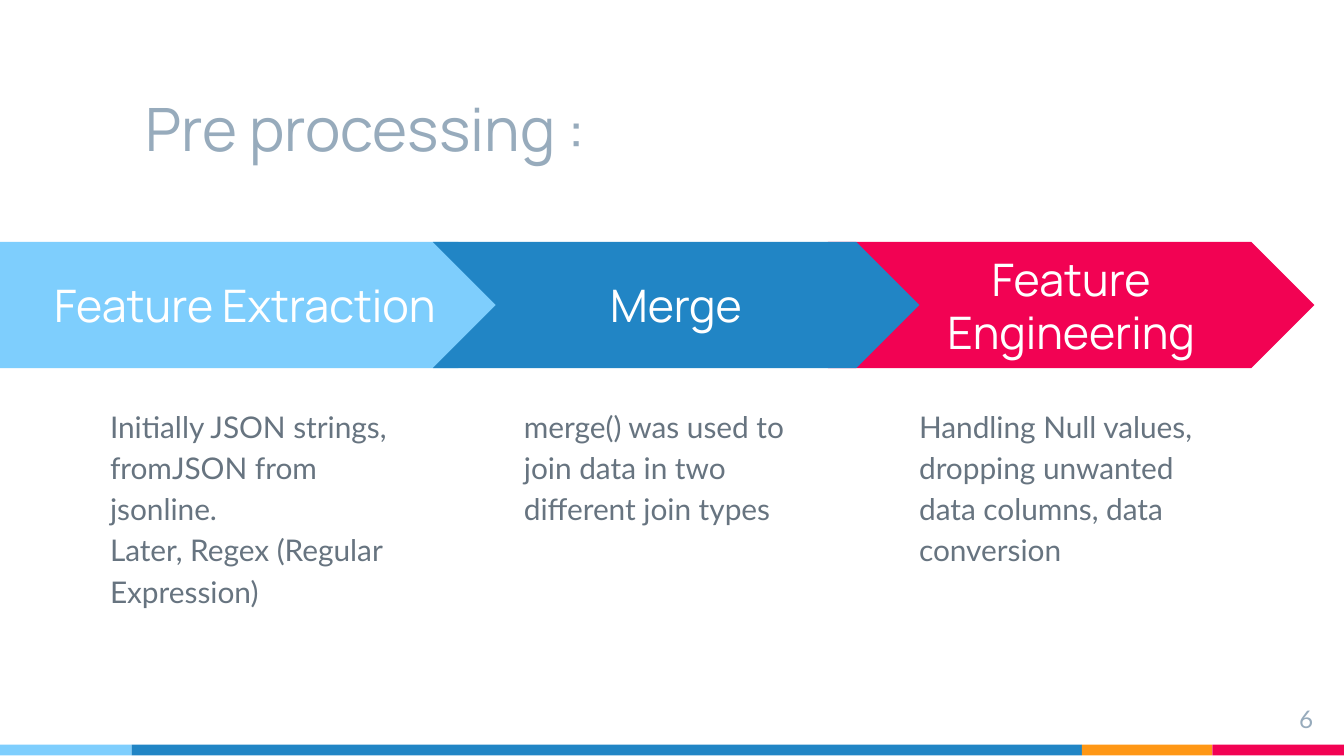
from pptx import Presentation
from pptx.dml.color import RGBColor
from pptx.enum import shapes as sh, text as tx
from pptx.util import Inches, Pt

SKY, BLUE, ORANGE, PINK = "7ECEFD", "2185C5", "FF9715", "F20253"
WHITE, TITLE_GREY, BODY_GREY = "FFFFFF", "97ABBC", "677480"

HEADING = {"name": "Manrope", "size": Pt(24), "color": WHITE}
TITLE = {**HEADING, "size": Pt(32), "color": TITLE_GREY}
DETAIL = {"name": "Lato", "size": Pt(16), "color": BODY_GREY}
PAGE_NUMBER = {**DETAIL, "size": Pt(13), "color": TITLE_GREY}

LEFT, CENTER, RIGHT = tx.PP_ALIGN.LEFT, tx.PP_ALIGN.CENTER, tx.PP_ALIGN.RIGHT
TOP, MIDDLE, BOTTOM = tx.MSO_ANCHOR.TOP, tx.MSO_ANCHOR.MIDDLE, tx.MSO_ANCHOR.BOTTOM

BAND_TOP, BAND_HEIGHT = 1.8, 0.94
DETAIL_TOP, DETAIL_WIDTH, DETAIL_HEIGHT = 2.9, 2.45, 2.15


def rgb(color):
    return RGBColor.from_string(color)


def write(frame, lines, font_format, align=LEFT, anchor=TOP, spacing=1.0):
    frame_format = {"word_wrap": True, "auto_size": tx.MSO_AUTO_SIZE.NONE,
                    "vertical_anchor": anchor}
    for side in ("left", "top", "right", "bottom"):
        frame_format[f"margin_{side}"] = Inches(0.1)
    for key, value in frame_format.items():
        setattr(frame, key, value)
    for i, line in enumerate(lines):
        paragraph = frame.add_paragraph() if i else frame.paragraphs[0]
        paragraph.alignment, paragraph.line_spacing = align, spacing
        run = paragraph.add_run()
        run.text = line
        for key, value in font_format.items():
            if key == "color":
                run.font.color.rgb = rgb(value)
            else:
                setattr(run.font, key, value)


def add_block(slide, kind, box, color):
    block = slide.shapes.add_shape(kind, *map(Inches, box))
    block.shadow.inherit = False
    block.fill.solid()
    block.fill.fore_color.rgb = rgb(color)
    block.line.fill.background()
    return block


def add_text(slide, box, lines, font_format, **layout):
    textbox = slide.shapes.add_textbox(*map(Inches, box))
    write(textbox.text_frame, lines, font_format, **layout)


def add_title(slide, box, wording):
    title = slide.shapes.title
    for key, value in zip(("left", "top", "width", "height"), box):
        setattr(title, key, Inches(value))
    write(title.text_frame, [wording], TITLE, anchor=BOTTOM)


def add_stage(slide, kind, left, width, color, heading, detail_left, details):
    arrow = add_block(slide, kind, (left, BAND_TOP, width, BAND_HEIGHT), color)
    arrow.adjustments[0] = 0.5
    write(arrow.text_frame, [heading], HEADING, align=CENTER, anchor=MIDDLE)
    add_text(slide, (detail_left, DETAIL_TOP, DETAIL_WIDTH, DETAIL_HEIGHT),
             details, DETAIL, spacing=1.15)


def add_footer_strip(slide):
    left = 0
    for color, width in ((SKY, 0.98), (BLUE, 7.07), (ORANGE, 0.97), (PINK, 0.98)):
        add_block(slide, sh.MSO_SHAPE.RECTANGLE, (left, 5.54, width, 0.08), color)
        left += width


def main():
    prs = Presentation()
    prs.slide_width = Inches(10)
    prs.slide_height = prs.slide_width * 9 // 16
    slide = prs.slides.add_slide(prs.slide_layouts[5])

    add_footer_strip(slide)
    add_title(slide, (0.98, 0.38, 7.07, 0.94), "Pre processing :")

    # Process stages, back to front: Merge overlaps both neighbours
    chevron, pentagon = sh.MSO_SHAPE.CHEVRON, sh.MSO_SHAPE.PENTAGON
    stages = (
        (chevron, 6.16, 3.62, PINK, "Feature Engineering", 6.74,
         ["Handling Null values, dropping unwanted data columns, data conversion"]),
        (pentagon, 0, 3.88, SKY, "Feature Extraction", 0.72,
         ["Initially JSON strings, fromJSON from jsonline.",
          "Later, Regex (Regular Expression)"]),
        (chevron, 3.22, 3.62, BLUE, "Merge", 3.8,
         ["merge() was used to join data in two different join types"]),
    )
    for stage in stages:
        add_stage(slide, *stage)

    # Page number
    add_text(slide, (9.27, 5.14, 0.6, 0.34), ["6"], PAGE_NUMBER, align=RIGHT)

    prs.save("out.pptx")


if __name__ == "__main__":
    main()
